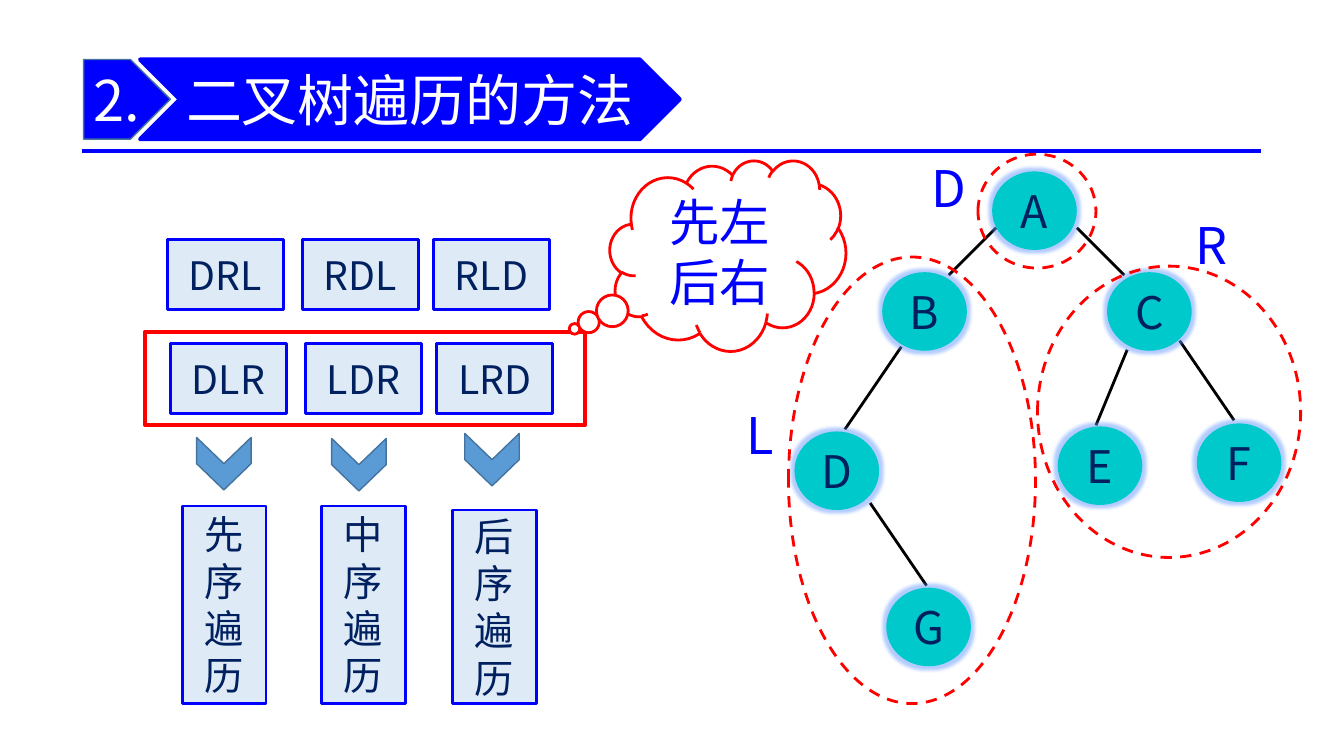
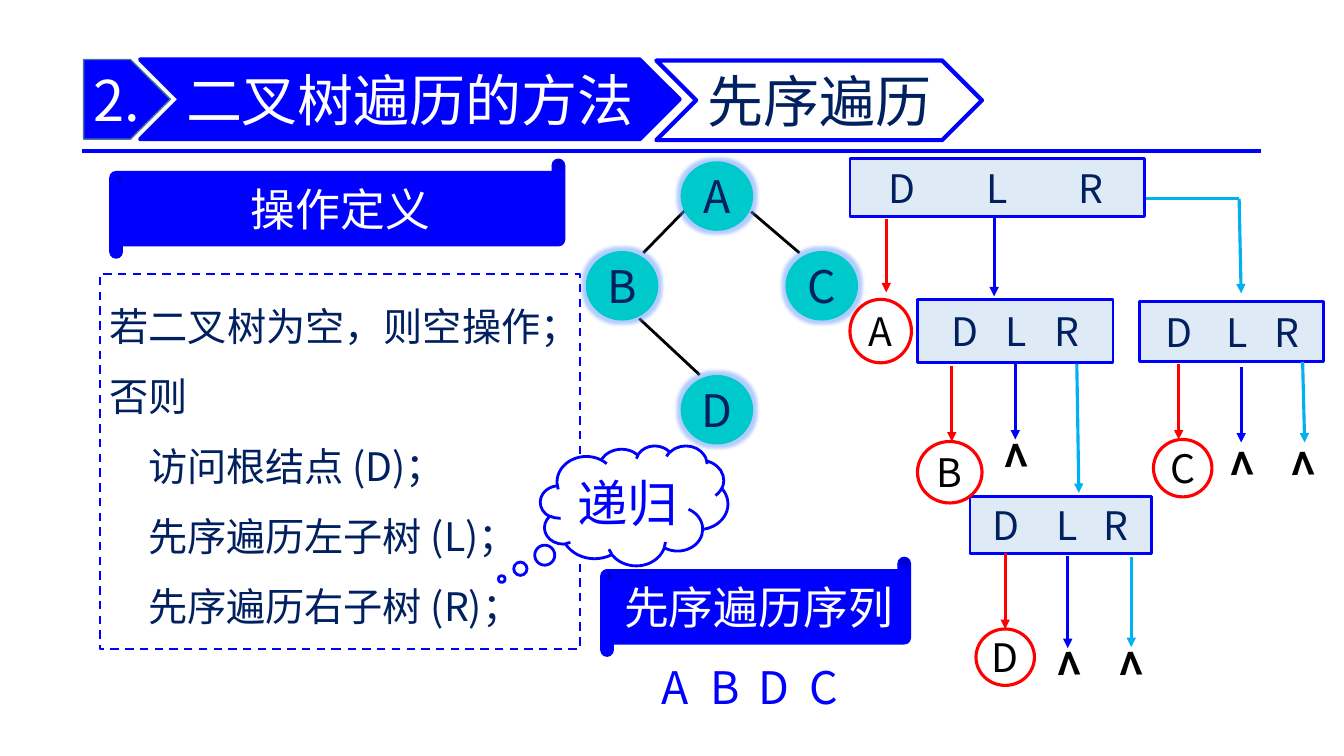
from lxml import etree
from pptx import Presentation
from pptx.dml.color import RGBColor
from pptx.enum.dml import MSO_LINE
from pptx.enum.shapes import MSO_CONNECTOR, MSO_SHAPE
from pptx.enum.text import MSO_ANCHOR, PP_ALIGN
from pptx.oxml.ns import qn
from pptx.util import Inches, Pt

RECTANGLE = MSO_SHAPE.RECTANGLE
OVAL = MSO_SHAPE.OVAL
CHEVRON = MSO_SHAPE.CHEVRON
PENTAGON = MSO_SHAPE.PENTAGON
CLOUD = MSO_SHAPE.CLOUD_CALLOUT
SCROLL = MSO_SHAPE.HORIZONTAL_SCROLL
STRAIGHT = MSO_CONNECTOR.STRAIGHT
DASH = MSO_LINE.DASH
MIDDLE = MSO_ANCHOR.MIDDLE
TOP = MSO_ANCHOR.TOP
CENTER = PP_ALIGN.CENTER
LEFT = PP_ALIGN.LEFT

FONT = "Noto Sans CJK SC"
BLUE = "0000FF"
NAVY = "002060"
PALE = "DEEBF7"
TEAL = "00C9CB"
RED = "FF0000"
SKY = "00B0F0"
STEEL = "5B9BD5"
STEEL_EDGE = "43739E"
GLOW = "6699FF"
WHITE = "FFFFFF"
BLACK = "000000"


def color(value):
    return RGBColor.from_string(value)


def add_xml(parent, tag, **attributes):
    return etree.SubElement(parent, qn(tag), {k: str(v) for k, v in attributes.items()})


class Deck:
    def __init__(self):
        self.presentation = Presentation()
        self.presentation.slide_width = Inches(13.33)
        self.presentation.slide_height = Inches(7.5)
        self.slide = None

    def new_slide(self):
        self.slide = self.presentation.slides.add_slide(self.presentation.slide_layouts[6])
        self.line((0.81, 1.5, 12.51, 1.5), BLUE, 3)
        plate = self.shape(PENTAGON, (0.83, 0.59, 0.86, 0.79), BLUE, STEEL_EDGE, 1)
        self.set_text(plate, "2.", 40, WHITE, align=LEFT, inset=0.1, wrap=False)
        banner = self.shape(CHEVRON, (1.39, 0.59, 5.35, 0.79), BLUE, BLUE, 3)
        self.set_text(banner, "二叉树遍历的方法", 40, WHITE, wrap=False)

    def set_text(self, shape, text, size, font_color, align=CENTER, anchor=MIDDLE,
                 inset=0.0, wrap=True, spacing=None, bold=False):
        frame = shape.text_frame
        frame.text = text
        frame.word_wrap = wrap
        frame.vertical_anchor = anchor
        frame.margin_left = frame.margin_right = Inches(inset)
        frame.margin_top = frame.margin_bottom = Inches(inset / 2)
        for paragraph in frame.paragraphs:
            paragraph.alignment = align
            if spacing:
                paragraph.line_spacing = Pt(spacing)
            for run in paragraph.runs:
                run.font.name = FONT
                run.font.size = Pt(size)
                run.font.bold = bold
                run.font.color.rgb = color(font_color)
                add_xml(run.font._element, "a:ea", typeface=FONT)
        return shape

    def shape(self, kind, box, fill=None, outline=None, width=2.0, dash=None):
        shape = self.slide.shapes.add_shape(kind, *map(Inches, box))
        shape.shadow.inherit = False
        if fill:
            shape.fill.solid()
            shape.fill.fore_color.rgb = color(fill)
        else:
            shape.fill.background()
        if outline:
            shape.line.color.rgb = color(outline)
            shape.line.width = Pt(width)
            if dash:
                shape.line.dash_style = dash
        else:
            shape.line.fill.background()
        return shape

    def line(self, ends, line_color, width=2.0, arrow=False):
        line = self.slide.shapes.add_connector(STRAIGHT, *map(Inches, ends))
        line.line.color.rgb = color(line_color)
        line.line.width = Pt(width)
        if arrow:
            add_xml(line.line._get_or_add_ln(), "a:tailEnd", type="triangle")
        add_xml(line._element.spPr, "a:effectLst")

    def arrow(self, ends, line_color):
        self.line(ends, line_color, 2.25, arrow=True)

    def label(self, text, box, size, font_color, bold=False):
        text_box = self.slide.shapes.add_textbox(*map(Inches, box))
        return self.set_text(text_box, text, size, font_color, wrap=False, bold=bold)

    def spread(self, shape, letters, centers, size, font_color):
        self.set_text(shape, "".join("\t" + letter for letter in letters), size, font_color, align=LEFT)
        properties = shape.text_frame.paragraphs[0]._p.get_or_add_pPr()
        stops = add_xml(properties, "a:tabLst")
        for center in centers:
            add_xml(stops, "a:tab", pos=Inches(center) - shape.left, algn="ctr")

    def node(self, text, left, top, width, height):
        node = self.shape(OVAL, (left, top, width, height), TEAL)
        glow = add_xml(node._element.spPr.find(qn("a:effectLst")), "a:glow", rad=Pt(5))
        tint = add_xml(glow, "a:srgbClr", val=GLOW)
        add_xml(tint, "a:alpha", val=50000)
        self.set_text(node, text, 32, NAVY, wrap=False)

    def tree(self, edges, nodes, size):
        for edge in edges:
            self.line(edge, BLACK)
        for text, left, top in nodes:
            self.node(text, left, top, *size)

    def chip(self, text, box, spacing=None):
        chip = self.shape(RECTANGLE, box, PALE, BLUE)
        self.set_text(chip, text, 28, NAVY, inset=0.1, spacing=spacing)

    def cloud(self, text, box, tail, outline, spacing=None):
        cloud = self.shape(CLOUD, box, WHITE, outline)
        cloud.adjustments[0], cloud.adjustments[1] = tail
        self.set_text(cloud, text, 36, BLUE, inset=0.1, spacing=spacing)

    def scroll(self, text, box):
        scroll = self.shape(SCROLL, box, BLUE, BLUE, 1)
        self.set_text(scroll, text, 32, WHITE, wrap=False)

    def call_box(self, box, centers):
        self.spread(self.shape(RECTANGLE, box, PALE, BLUE), "DLR", centers, 28, NAVY)

    def visit(self, text, box, arrow):
        circle = self.shape(OVAL, box, WHITE, RED, 2.25)
        self.set_text(circle, text, 28, BLACK, wrap=False)
        self.arrow(arrow, RED)

    def empty_branch(self, center_x, center_y, arrow, line_color):
        mark = self.label(">", (center_x - 0.21, center_y - 0.32, 0.42, 0.64), 32, BLACK, bold=True)
        mark.rotation = 268.3
        self.arrow(arrow, line_color)

    def save(self):
        self.presentation.save("out.pptx")


def build_methods(deck):
    deck.new_slide()
    deck.tree(
        [(9.88, 2.26, 9.41, 2.73), (8.94, 3.44, 8.38, 4.26), (10.68, 2.26, 11.15, 2.73),
         (11.18, 3.47, 10.87, 4.22), (8.63, 4.99, 9.19, 5.81), (11.7, 3.38, 12.24, 4.17)],
        [("A", 9.84, 1.7), ("B", 8.75, 2.7), ("C", 10.98, 2.7), ("D", 7.88, 4.28),
         ("G", 8.79, 5.83), ("F", 11.87, 4.2), ("E", 10.49, 4.23)],
        (0.84, 0.78))
    for box in [(9.7, 1.53, 1.17, 1.13), (10.29, 2.64, 2.61, 2.89), (7.82, 2.55, 2.45, 4.43)]:
        deck.shape(OVAL, box, outline=RED, dash=DASH)
    for text, box in [("D", (9.12, 1.5, 0.59, 0.71)), ("L", (7.31, 3.95, 0.46, 0.71)),
                      ("R", (11.75, 2.07, 0.53, 0.71))]:
        deck.label(text, box, 36, BLUE)

    deck.shape(RECTANGLE, (1.44, 3.29, 4.36, 0.93), outline=RED, width=3)
    columns = [
        (1.66, "DRL", "DLR", "先序遍历", 1.81, 5.02, 1.96, 4.33),
        (3.0, "RDL", "LDR", "中序遍历", 3.19, 5.02, 3.3, 4.34),
        (4.3, "RLD", "LRD", "后序遍历", 4.49, 5.06, 4.62, 4.29),
    ]
    for left, mirrored, order, name, name_left, name_top, mark_left, mark_top in columns:
        deck.chip(mirrored, (left, 2.38, 1.15, 0.69))
        deck.chip(order, (left + 0.03, 3.41, 1.15, 0.69))
        mark = deck.shape(CHEVRON, (mark_left, mark_top, 0.52, 0.54), STEEL, STEEL_EDGE, 1)
        mark.rotation = 90
        deck.chip(name, (name_left, name_top, 0.83, 6.98 - name_top), spacing=33.6)
    deck.cloud("先左后右", (6.05, 1.59, 2.34, 1.89), (-0.65, 0.385), RED, spacing=43)


def build_preorder(deck):
    deck.new_slide()
    heading = deck.shape(CHEVRON, (6.51, 0.6, 3.23, 0.79), WHITE, BLUE, 3)
    deck.set_text(heading, "先序遍历", 40, NAVY, wrap=False)
    sequence = deck.slide.shapes.add_textbox(*map(Inches, (6.47, 6.49, 3, 0.64)))
    deck.spread(sequence, "ABDC", [6.7 + 0.49 * i for i in range(4)], 32, BLUE)

    definition = deck.shape(RECTANGLE, (0.99, 2.72, 4.76, 3.72), WHITE, BLUE, 1.5, DASH)
    steps = "\v".join(["否则", "访问根结点 (D)；", "先序遍历左子树 (L)；", "先序遍历右子树 (R)；"])
    deck.set_text(definition, "若二叉树为空，则空操作；\n" + steps, 28, NAVY,
                  align=LEFT, anchor=TOP, inset=0.1, spacing=50)
    for paragraph in definition.text_frame.paragraphs:
        properties = paragraph._p.get_or_add_pPr()
        properties.set("marL", str(Inches(0.38)))
        properties.set("indent", str(-Inches(0.38)))
    deck.scroll("操作定义", (1.09, 1.58, 4.51, 0.98))
    deck.cloud("递归", (5.36, 4.42, 1.86, 1.19), (-0.706, 0.613), BLUE)
    deck.tree(
        [(6.79, 2.09, 6.38, 2.51), (7.45, 2.1, 7.93, 2.51), (6.34, 3.16, 6.94, 3.72)],
        [("A", 6.75, 1.6), ("B", 5.81, 2.49), ("C", 7.79, 2.49), ("D", 6.75, 3.72)],
        (0.72, 0.69))

    for box, centers in [
        ((8.43, 1.57, 2.92, 0.58), (8.95, 9.89, 10.82)),
        ((9.1, 2.97, 1.94, 0.63), (9.57, 10.08, 10.58)),
        ((9.62, 4.93, 1.8, 0.56), (9.98, 10.58, 11.07)),
        ((11.3, 2.99, 1.83, 0.6), (11.69, 12.27, 12.76)),
    ]:
        deck.call_box(box, centers)
    deck.arrow((9.86, 2.16, 9.86, 2.94), BLUE)
    deck.arrow((10.68, 3.61, 10.7, 4.89), SKY)
    deck.line((11.37, 1.97, 12.29, 1.97), SKY, 2.25)
    deck.arrow((12.29, 1.97, 12.31, 2.91), SKY)
    for text, box, arrow in [
        ("A", (8.43, 2.97, 0.61, 0.63), (8.79, 2.17, 8.79, 2.9)),
        ("B", (9.1, 4.38, 0.64, 0.61), (9.44, 3.63, 9.44, 4.38)),
        ("C", (11.44, 4.36, 0.58, 0.57), (11.69, 3.61, 11.69, 4.36)),
        ("D", (9.68, 6.24, 0.58, 0.56), (9.97, 5.49, 9.97, 6.24)),
    ]:
        deck.visit(text, box, arrow)
    for center_x, center_y, arrow, line_color in [
        (10.07, 4.52, (10.07, 3.61, 10.07, 4.36), BLUE),
        (12.31, 4.6, (12.31, 3.64, 12.31, 4.39), BLUE),
        (12.92, 4.6, (12.92, 3.59, 12.94, 4.39), SKY),
        (10.59, 6.59, (10.59, 5.52, 10.59, 6.43), BLUE),
        (11.21, 6.59, (11.22, 5.53, 11.22, 6.42), SKY),
    ]:
        deck.empty_branch(center_x, center_y, arrow, line_color)
    deck.scroll("先序遍历序列", (5.96, 5.53, 3.07, 0.98))


def main():
    deck = Deck()
    build_methods(deck)
    build_preorder(deck)
    deck.save()


if __name__ == "__main__":
    main()
